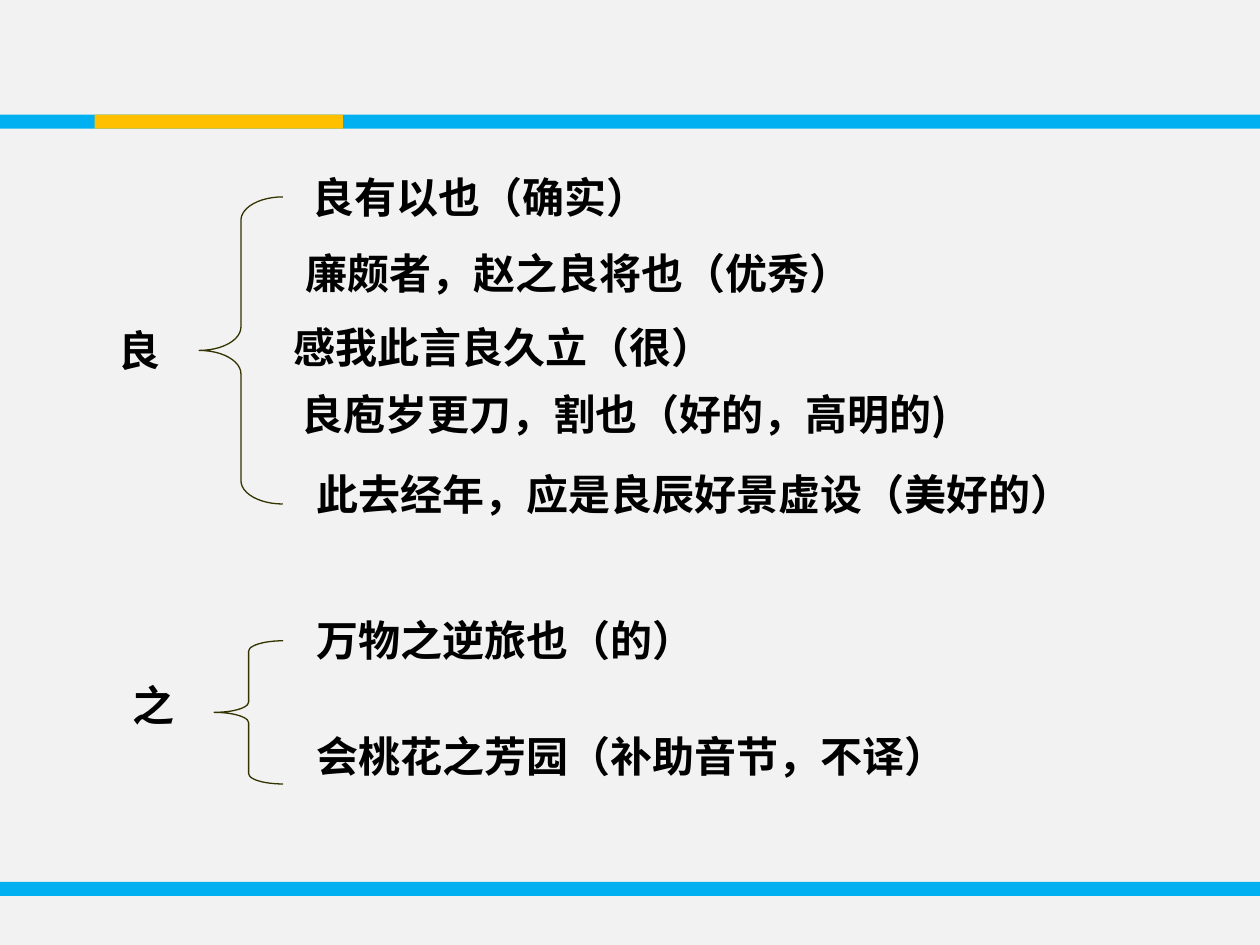
from lxml import etree
from pptx import Presentation
from pptx.dml.color import RGBColor
from pptx.enum.shapes import MSO_SHAPE
from pptx.oxml.ns import qn
from pptx.util import Pt

RECT, LEFT_BRACE = MSO_SHAPE.RECTANGLE, MSO_SHAPE.LEFT_BRACE
GREY = RGBColor(0xF2, 0xF2, 0xF2)
BLUE = RGBColor(0x00, 0xB0, 0xF0)
GOLD = RGBColor(0xFF, 0xC0, 0x00)
OLIVE = RGBColor(0x33, 0x33, 0x00)
BLACK = RGBColor(0x00, 0x00, 0x00)
FONT = "Noto Sans CJK SC"
WIDTH, HEIGHT = 720, 540
BAR_HEIGHT, LINE_HEIGHT = 8, 36

# Content: each word with its brace and its example sentences (left, top, width)
BARS = [(0, 504, WIDTH, BLUE), (0, 65.5, WIDTH, BLUE), (54, 65.5, 142, GOLD)]
GROUPS = [
    {
        "word": ("良", 60.5, 182, 60),
        "brace": (113.8, 112.5, 47.8, 175.5),
        "curve": 0.28,
        "examples": [
            ("良有以也（确实）", 171.5, 94.3, 233),
            ("廉颇者，赵之良将也（优秀）", 167.4, 138, 454),
            ("感我此言良久立（很）", 160.6, 180, 454),
            ("良庖岁更刀，割也（好的，高明的)", 165.4, 218.4, 500),
            ("此去经年，应是良辰好景虚设（美好的）", 174, 264, 505),
        ],
    },
    {
        "word": ("之", 68.4, 384.5, 54),
        "brace": (122.4, 366.2, 39.4, 81.8),
        "curve": 0.15,
        "examples": [
            ("万物之逆旅也（的）", 174, 347.8, 233),
            ("会桃花之芳园（补助音节，不译）", 174, 414, 485),
        ],
    },
]


def add_bar(slide, left, top, width, color):
    sp = slide.shapes.add_shape(RECT, Pt(left), Pt(top), Pt(width), Pt(BAR_HEIGHT))
    sp.shadow.inherit = False
    sp.fill.solid()
    sp.fill.fore_color.rgb = color
    sp.line.fill.background()


def add_brace(slide, box, curve):
    sp = slide.shapes.add_shape(LEFT_BRACE, *map(Pt, box))
    sp.shadow.inherit = False
    sp.adjustments[0] = curve
    sp.fill.background()
    sp.line.color.rgb = OLIVE
    sp.line.width = Pt(0.75)


def add_text(slide, text, left, top, width):
    sp = slide.shapes.add_textbox(Pt(left), Pt(top), Pt(width), Pt(LINE_HEIGHT))
    tf = sp.text_frame
    tf.word_wrap = True
    p = tf.paragraphs[0]
    p.text = text
    p.font.name = FONT
    p.font.size = Pt(24)
    p.font.bold = True
    p.font.color.rgb = BLACK
    # East Asian typeface
    latin = p._p.pPr.find(qn("a:defRPr")).find(qn("a:latin"))
    ea = etree.Element(qn("a:ea"), typeface=FONT)
    latin.addnext(ea)


prs = Presentation()
prs.slide_width, prs.slide_height = Pt(WIDTH), Pt(HEIGHT)
s = prs.slides.add_slide(prs.slide_layouts[6])
s.background.fill.solid()
s.background.fill.fore_color.rgb = GREY

# Top and bottom bars
for bar in BARS:
    add_bar(s, *bar)

# Words, braces and examples
for group in GROUPS:
    add_text(s, *group["word"])
    add_brace(s, group["brace"], group["curve"])
    for example in group["examples"]:
        add_text(s, *example)

prs.save("out.pptx")
